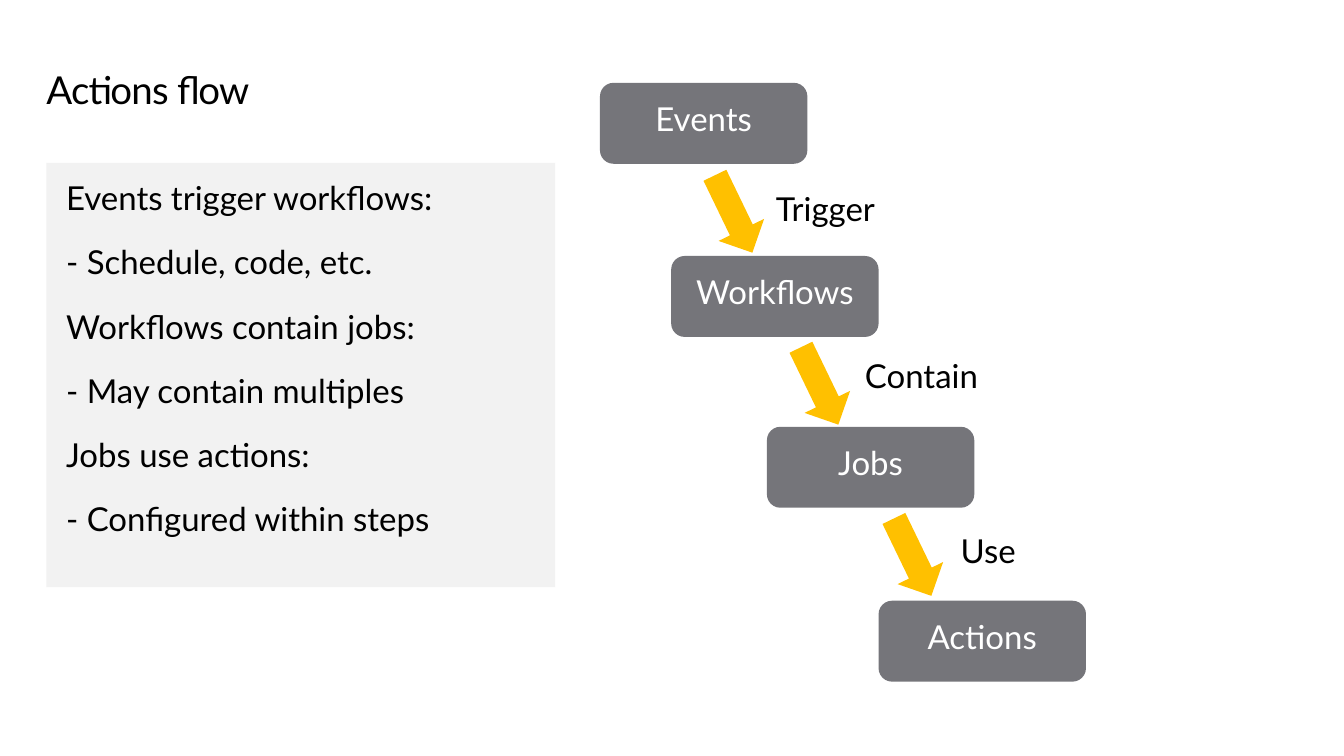
"""Build the "Actions flow" slide: a summary panel and a staircase of linked steps."""
from pptx import Presentation
from pptx.dml.color import RGBColor
from pptx.enum import shapes, text
from pptx.util import Cm, Pt


def fill_shape(sp, color):
    sp.shadow.inherit = False
    sp.fill.solid()
    sp.fill.fore_color.rgb = RGBColor.from_string(color)
    sp.line.fill.background()


def write(sp, lines, color="000000", size=24, align=text.PP_ALIGN.LEFT,
          spacing=None, before=0, after=0, inset=(0.51, 0.41)):
    tf = sp.text_frame
    tf.word_wrap = True
    tf.vertical_anchor = text.MSO_ANCHOR.TOP
    tf.margin_left = tf.margin_right = Cm(inset[0])
    tf.margin_top = tf.margin_bottom = Cm(inset[1])
    tf.text = "\n".join(lines)
    for p in tf.paragraphs:
        p.alignment = align
        p.line_spacing = spacing
        p.space_before, p.space_after = Pt(before), Pt(after)
        p.font.name, p.font.size = "Lato", Pt(size)
        p.font.color.rgb = RGBColor.from_string(color)


prs = Presentation()
prs.slide_width, prs.slide_height = Cm(34.54), Cm(19.43)
s = prs.slides.add_slide(prs.slide_layouts[5])

title = s.shapes.title
title.left, title.top, title.width, title.height = Cm(1.19), Cm(1.75), Cm(32.13), Cm(1.14)
write(title, ["Actions flow"], size=28, spacing=Pt(32), inset=(0, 0))
title.text_frame.auto_size = text.MSO_AUTO_SIZE.NONE
title.text_frame.paragraphs[0].runs[0]._r.get_or_add_rPr().set("spc", "-50")

panel = s.shapes.add_shape(shapes.MSO_SHAPE.RECTANGLE, Cm(1.19), Cm(4.19), Cm(13.08), Cm(10.9))
fill_shape(panel, "F2F2F2")
write(panel, [
    "Events trigger workflows:",
    "- Schedule, code, etc.",
    "Workflows contain jobs:",
    "- May contain multiples",
    "Jobs use actions:",
    "- Configured within steps",
], before=18, inset=(0.51, 0.38))

steps = [("Events", 15.42, 2.13), ("Workflows", 17.25, 6.58),
         ("Jobs", 19.71, 10.97), ("Actions", 22.58, 15.44)]
for name, left, top in steps:
    box = s.shapes.add_shape(shapes.MSO_SHAPE.ROUNDED_RECTANGLE,
                             Cm(left), Cm(top), Cm(5.33), Cm(2.08))
    fill_shape(box, "75757A")
    write(box, [name], color="FFFFFF", align=text.PP_ALIGN.CENTER, spacing=0.9)

links = [("Trigger", (17.75, 4.85), (19.43, 4.55)),
         ("Contain", (19.96, 9.27), (21.72, 8.84)),
         ("Use", (22.35, 13.67), (24.18, 13.34))]
for verb, (arrow_left, arrow_top), (label_left, label_top) in links:
    arrow = s.shapes.add_shape(shapes.MSO_SHAPE.RIGHT_ARROW,
                               Cm(arrow_left), Cm(arrow_top), Cm(2.21), Cm(1.3))
    arrow.rotation = 64.2
    fill_shape(arrow, "FFC000")
    label = s.shapes.add_textbox(Cm(label_left), Cm(label_top), Cm(4.06), Cm(1.75))
    write(label, [verb], spacing=0.9, after=6)

prs.save("out.pptx")
